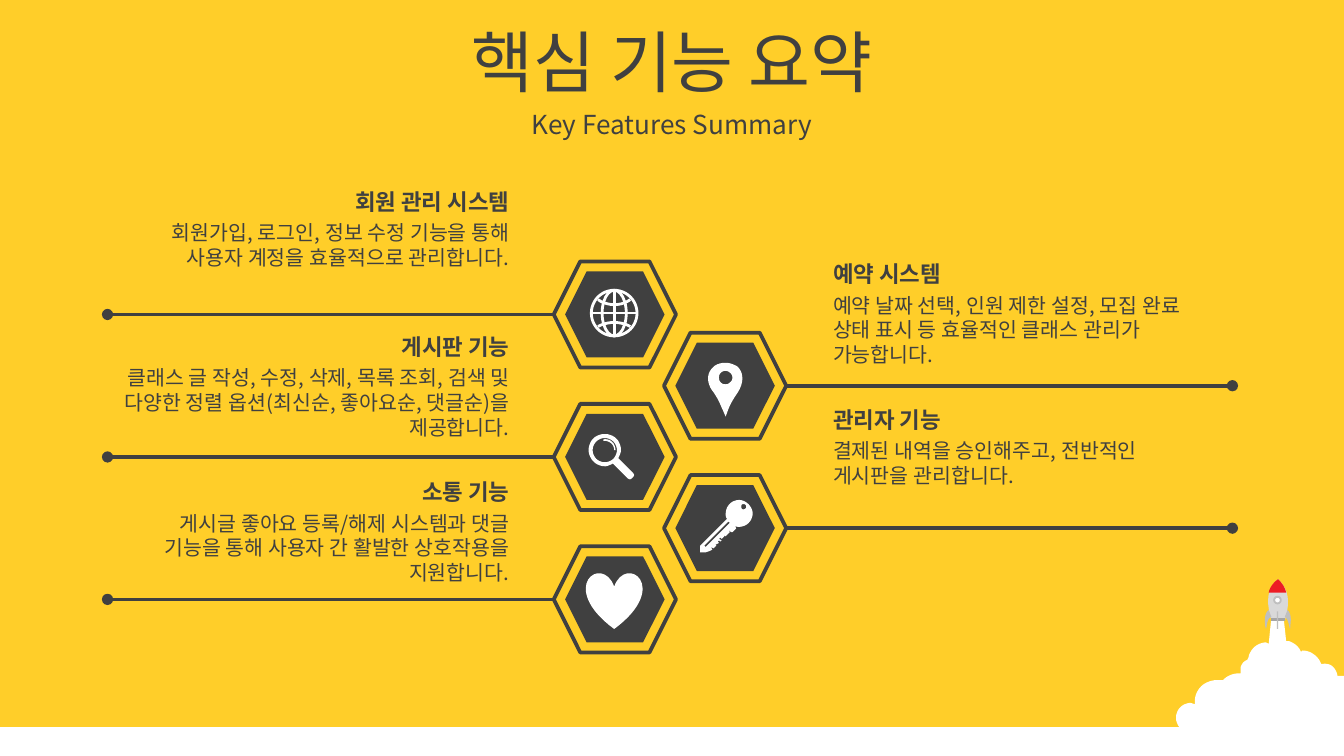
from lxml import etree
from pptx import Presentation, util as u
from pptx.dml.color import RGBColor
from pptx.enum import shapes, text
from pptx.oxml.ns import qn

YELLOW, DARK, WHITE = "FFCE29", "404040", "FFFFFF"
FONT = "Noto Sans CJK KR"
W, H = 10, 5.625
SHAPE = shapes.MSO_SHAPE
LEFT, CENTER, RIGHT = text.PP_ALIGN.LEFT, text.PP_ALIGN.CENTER, text.PP_ALIGN.RIGHT

prs = Presentation()
prs.slide_width, prs.slide_height = u.Inches(W), u.Inches(H)
s = prs.slides.add_slide(prs.slide_layouts[6])
s.background.fill.solid()
s.background.fill.fore_color.rgb = RGBColor.from_string(YELLOW)


def draw(kind, box=None, fill=None, line=None, width=2):
    if box:
        sp = s.shapes.add_shape(kind, *map(u.Inches, box))
    else:
        pen = None
        for part in kind.replace("M", "|M").replace("L", "|L").replace("C", "|C").split("|")[1:]:
            n = [float(v) * 1000 for v in part[1:].split()]
            pts = list(zip(n[::2], n[1::2]))
            if part[0] == "M":
                if pen:
                    pen.move_to(*pts[0])
                else:
                    pen = s.shapes.build_freeform(*pts[0], scale=914.4)
            elif part[0] == "L":
                pen.add_line_segments(pts, close=False)
            else:
                a, b, c, d = [last, *pts]
                curve = [tuple((1 - t) ** 3 * a[i] + 3 * t * (1 - t) ** 2 * b[i]
                               + 3 * t * t * (1 - t) * c[i] + t ** 3 * d[i] for i in (0, 1))
                         for t in (k / 10 for k in range(1, 11))]
                pen.add_line_segments(curve, close=False)
            last = pts[-1]
        sp = pen.convert_to_shape()
    sp.shadow.inherit = False
    if fill:
        sp.fill.solid()
        sp.fill.fore_color.rgb = RGBColor.from_string(fill)
    else:
        sp.fill.background()
    if line:
        sp.line.color.rgb = RGBColor.from_string(line)
        sp.line.width = u.Pt(width)
    else:
        sp.line.fill.background()


def write(words, box, size, align, bold=False, anchor=text.MSO_ANCHOR.TOP):
    tf = s.shapes.add_textbox(*map(u.Inches, box)).text_frame
    tf.word_wrap = True
    tf.vertical_anchor = anchor
    p = tf.paragraphs[0]
    p.text = words
    p.alignment = align
    p.line_spacing = u.Pt(size * 1.2)
    p.font.size, p.font.bold, p.font.name = u.Pt(size), bold, FONT
    p.font.color.rgb = RGBColor.from_string(DARK)
    etree.SubElement(p._p.find(".//" + qn("a:defRPr")), qn("a:ea"), typeface=FONT)


draw(SHAPE.RECTANGLE, (0, 5.41, W, H - 5.41), WHITE)
cloud = """M 9.46 4.59 L 9.55 4.59 9.57 4.77 9.59 4.77 C 9.62 4.78 9.65 4.8 9.67 4.83
L 9.68 4.85 9.69 4.84 C 9.75 4.84 9.81 4.88 9.83 4.94 L 9.84 4.94
C 9.9 4.93 9.94 4.97 9.95 5.02 L 9.95 5.03 10 5.03 10 5.6 9.98 5.6
C 9.94 5.6 9.9 5.59 9.87 5.57 L 9.86 5.56 C 9.81 5.61 9.73 5.59 9.69 5.54
C 9.66 5.6 9.57 5.61 9.51 5.55 L 9.49 5.56 C 9.45 5.59 9.4 5.61 9.34 5.61
C 9.23 5.61 9.17 5.56 9.13 5.51 C 9.06 5.55 8.95 5.53 8.93 5.43
C 8.91 5.45 8.89 5.45 8.86 5.45 C 8.8 5.45 8.75 5.4 8.75 5.34
C 8.75 5.28 8.8 5.23 8.86 5.23 L 8.89 5.24 8.89 5.22
C 8.89 5.13 8.96 5.06 9.06 5.06 L 9.1 5.06 C 9.14 5.02 9.18 5.01 9.23 5.01
L 9.23 4.98 C 9.23 4.95 9.25 4.92 9.28 4.91 L 9.29 4.89
C 9.3 4.83 9.36 4.78 9.42 4.78 L 9.44 4.79 9.46 4.59"""
body = "M 9.46 4.62 C 9.44 4.53 9.4 4.4 9.51 4.31 C 9.62 4.41 9.58 4.54 9.56 4.62 L 9.46 4.62"
nozzle = "M 9.46 4.6 L 9.56 4.6 9.56 4.62 9.46 4.62 9.46 4.6"
nose = "M 9.51 4.31 C 9.54 4.34 9.56 4.37 9.57 4.41 L 9.44 4.41 C 9.45 4.37 9.47 4.34 9.51 4.31"
left_fin = "M 9.44 4.54 L 9.46 4.59 C 9.42 4.61 9.43 4.66 9.42 4.68 C 9.41 4.65 9.4 4.57 9.44 4.54"
right_fin = "M 9.58 4.54 L 9.56 4.59 C 9.59 4.61 9.59 4.66 9.6 4.68 C 9.6 4.65 9.62 4.57 9.58 4.54"
for outline, color in ((cloud, WHITE), (body, "D9D9D9"), (nozzle, "A6A6A6"), (nose, "ED1C24")):
    draw(outline, fill=color)
draw(SHAPE.OVAL, (9.48, 4.44, 0.05, 0.05), WHITE, "BFBFBF", 1)
draw(SHAPE.RECTANGLE, (9.5, 4.55, 0.01, 0.13), "BFBFBF")
for fin in (left_fin, right_fin):
    draw(fin, fill="BFBFBF")

write("핵심 기능 요약", (0, 0.14, W, 0.63), 36, CENTER, anchor=text.MSO_ANCHOR.MIDDLE)
write("Key Features Summary", (0, 0.77, W, 0.31), 14, CENTER, anchor=text.MSO_ANCHOR.MIDDLE)

features = [
    ("회원 관리 시스템", "회원가입, 로그인, 정보 수정 기능을 통해 사용자 계정을 효율적으로 관리합니다."),
    ("예약 시스템", "예약 날짜 선택, 인원 제한 설정, 모집 완료 상태 표시 등 효율적인 클래스 관리가 가능합니다."),
    ("게시판 기능", "클래스 글 작성, 수정, 삭제, 목록 조회, 검색 및 다양한 정렬 옵션(최신순, 좋아요순, 댓글순)을 제공합니다."),
    ("관리자 기능", "결제된 내역을 승인해주고, 전반적인 게시판을 관리합니다."),
    ("소통 기능", "게시글 좋아요 등록/해제 시스템과 댓글 기능을 통해 사용자 간 활발한 상호작용을 지원합니다."),
]
HEX_W, HEX_H, CORE_W, CORE_H = 0.91, 0.79, 0.74, 0.64
for row, (title, detail) in enumerate(features):
    on_right = row % 2
    hex_x, mid_y = (4.94 if on_right else 4.12), 2.34 + 0.53 * row
    start, end = (hex_x + HEX_W, 9.17) if on_right else (hex_x, 0.8)
    ln = s.shapes.add_connector(shapes.MSO_CONNECTOR.STRAIGHT,
                                *map(u.Inches, (start, mid_y, end, mid_y)))
    ln.line.color.rgb = RGBColor.from_string(DARK)
    ln.line.width = u.Pt(2)
    etree.SubElement(ln.line._get_or_add_ln(), qn("a:tailEnd"), type="oval")
    etree.SubElement(ln._element.spPr, qn("a:effectLst"))

    x, align = (6.1, LEFT) if on_right else (1.06, RIGHT)
    y = 1.35 + 0.54 * row
    extra = 0.24 if row == 2 else 0
    write(detail, (x - extra, y + 0.24, 2.83 + extra, 0.66), 11, align)
    write(title, (x, y, 2.83, 0.3), 12, align, bold=True)

    draw(SHAPE.HEXAGON, (hex_x, mid_y - HEX_H / 2, HEX_W, HEX_H), YELLOW, DARK)
    draw(SHAPE.HEXAGON, (hex_x + (HEX_W - CORE_W) / 2, mid_y - CORE_H / 2, CORE_W, CORE_H), DARK)

for half_width in (0.17, 0.09):
    draw(SHAPE.OVAL, (4.57 - half_width, 2.16, 2 * half_width, 0.34), line=WHITE, width=1.5)
draw("""M 4.57 2.16 L 4.57 2.5 M 4.4 2.33 L 4.74 2.33
M 4.45 2.23 C 4.52 2.28 4.62 2.28 4.69 2.23
M 4.45 2.43 C 4.52 2.39 4.62 2.39 4.69 2.43""", line=WHITE, width=1.5)

pin = """M 5.4 2.76 C 5.37 2.76 5.35 2.78 5.35 2.81 C 5.35 2.84 5.37 2.86 5.4 2.86
C 5.42 2.86 5.45 2.84 5.45 2.81 C 5.45 2.78 5.42 2.76 5.4 2.76
M 5.4 2.7 C 5.43 2.7 5.46 2.71 5.49 2.73 C 5.54 2.78 5.53 2.86 5.49 2.92
C 5.45 2.98 5.43 3.01 5.4 3.1 C 5.36 3.01 5.35 2.98 5.31 2.92
C 5.26 2.86 5.25 2.78 5.31 2.73 C 5.33 2.71 5.36 2.7 5.4 2.7"""
magnifier = """M 4.7 3.51 L 4.71 3.52 C 4.72 3.53 4.72 3.54 4.71 3.55 L 4.7 3.56
C 4.69 3.57 4.68 3.57 4.66 3.55 L 4.7 3.51
M 4.49 3.27 C 4.54 3.26 4.58 3.3 4.58 3.35 L 4.57 3.35 C 4.57 3.31 4.54 3.28 4.49 3.28 L 4.49 3.27
M 4.5 3.26 C 4.45 3.26 4.41 3.3 4.41 3.35 C 4.41 3.4 4.45 3.44 4.5 3.44
C 4.55 3.44 4.59 3.4 4.59 3.35 C 4.59 3.3 4.55 3.26 4.5 3.26
M 4.5 3.23 C 4.57 3.23 4.62 3.28 4.62 3.35 C 4.62 3.37 4.61 3.39 4.6 3.41
L 4.7 3.51 4.66 3.55 4.56 3.45 C 4.54 3.46 4.52 3.47 4.5 3.47
C 4.43 3.47 4.38 3.41 4.38 3.35 C 4.38 3.28 4.43 3.23 4.5 3.23"""
key = """M 5.42 3.88 L 5.24 4.06 5.25 4.07 5.43 3.89 5.42 3.88
M 5.53 3.75 C 5.51 3.75 5.51 3.79 5.53 3.79 C 5.56 3.79 5.56 3.75 5.53 3.75
M 5.5 3.72 C 5.55 3.72 5.6 3.77 5.6 3.82 C 5.6 3.88 5.55 3.92 5.5 3.92
C 5.49 3.92 5.47 3.92 5.46 3.91 L 5.47 3.92 C 5.48 3.93 5.48 3.93 5.47 3.94
L 5.45 3.96 5.44 3.96 5.42 3.94 5.43 3.96 5.42 3.97 5.41 3.96 5.42 3.97 5.4 3.99
5.38 3.98 5.39 3.99 5.37 4.01 5.36 4 5.35 4.01 5.37 4.02 5.36 4.03 5.35 4.02
5.34 4.03 5.35 4.04 5.33 4.05 5.32 4.04 5.33 4.06 5.31 4.08 5.29 4.07 5.3 4.09
5.28 4.1 5.25 4.11 5.21 4.11 5.21 4.06 5.41 3.86 C 5.4 3.85 5.4 3.84 5.4 3.82
C 5.4 3.77 5.44 3.72 5.5 3.72"""
for icon in (pin, magnifier, key):
    draw(icon, fill=WHITE)
draw(SHAPE.HEART, (4.36, 4.26, 0.42, 0.42), WHITE)

prs.save("out.pptx")
